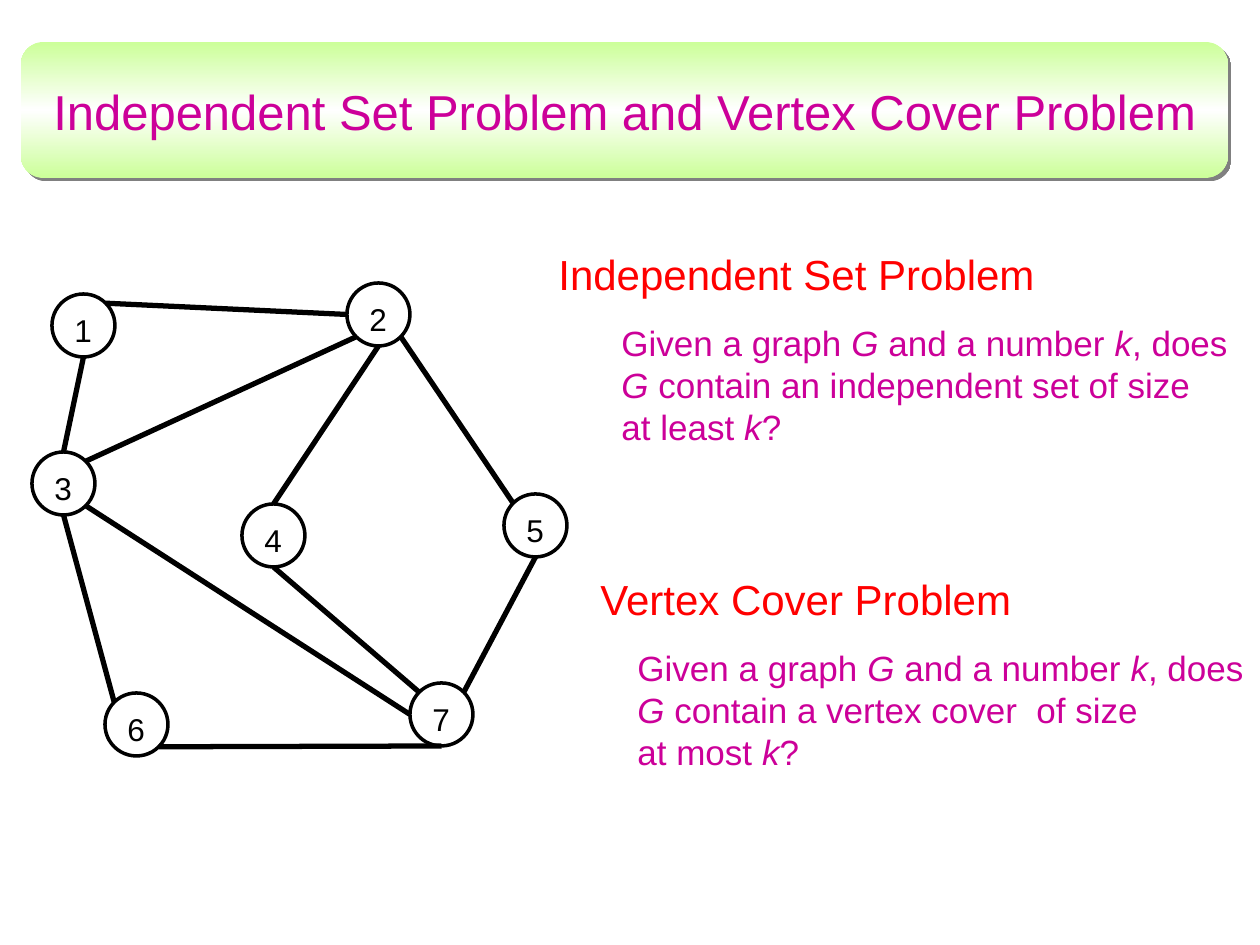
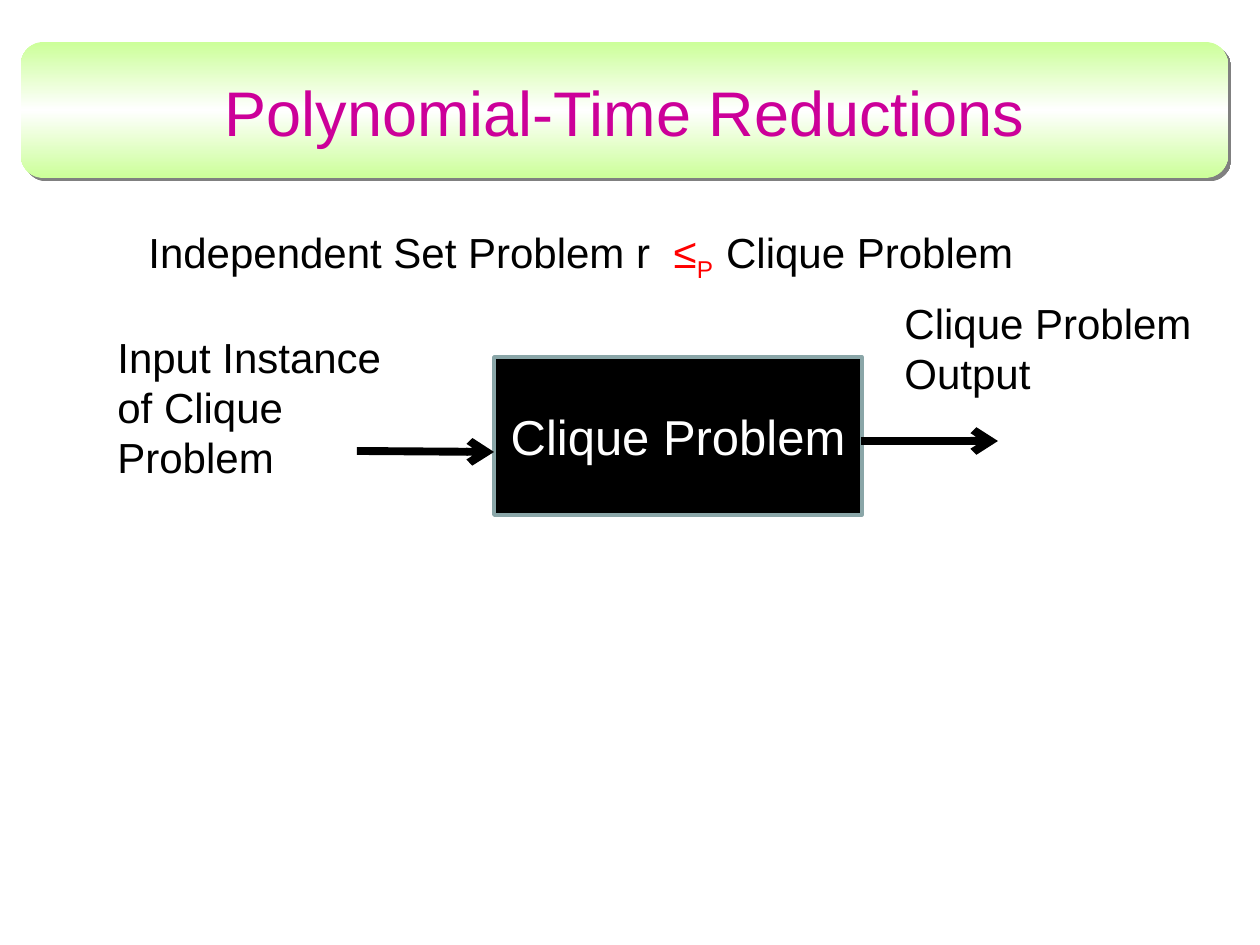
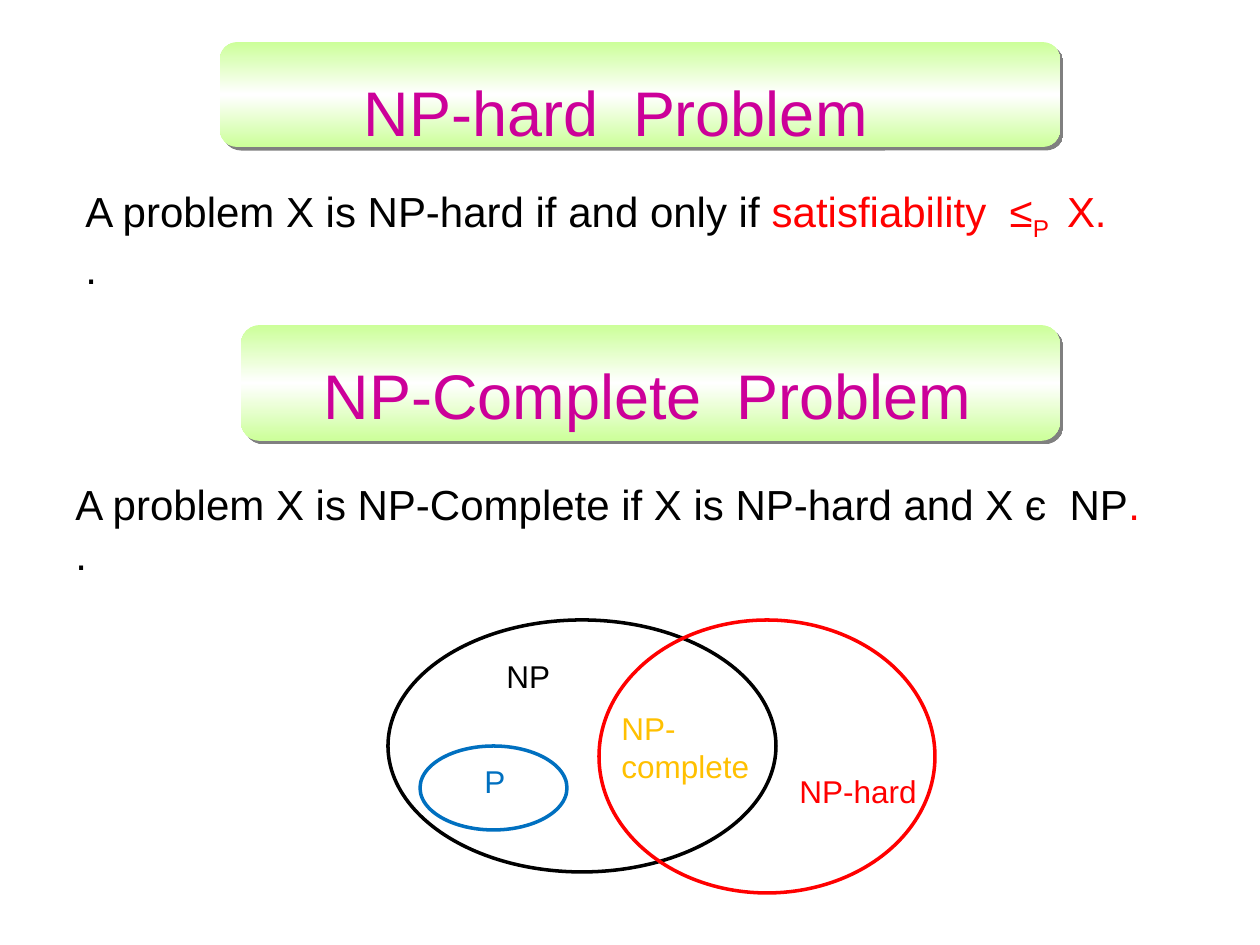
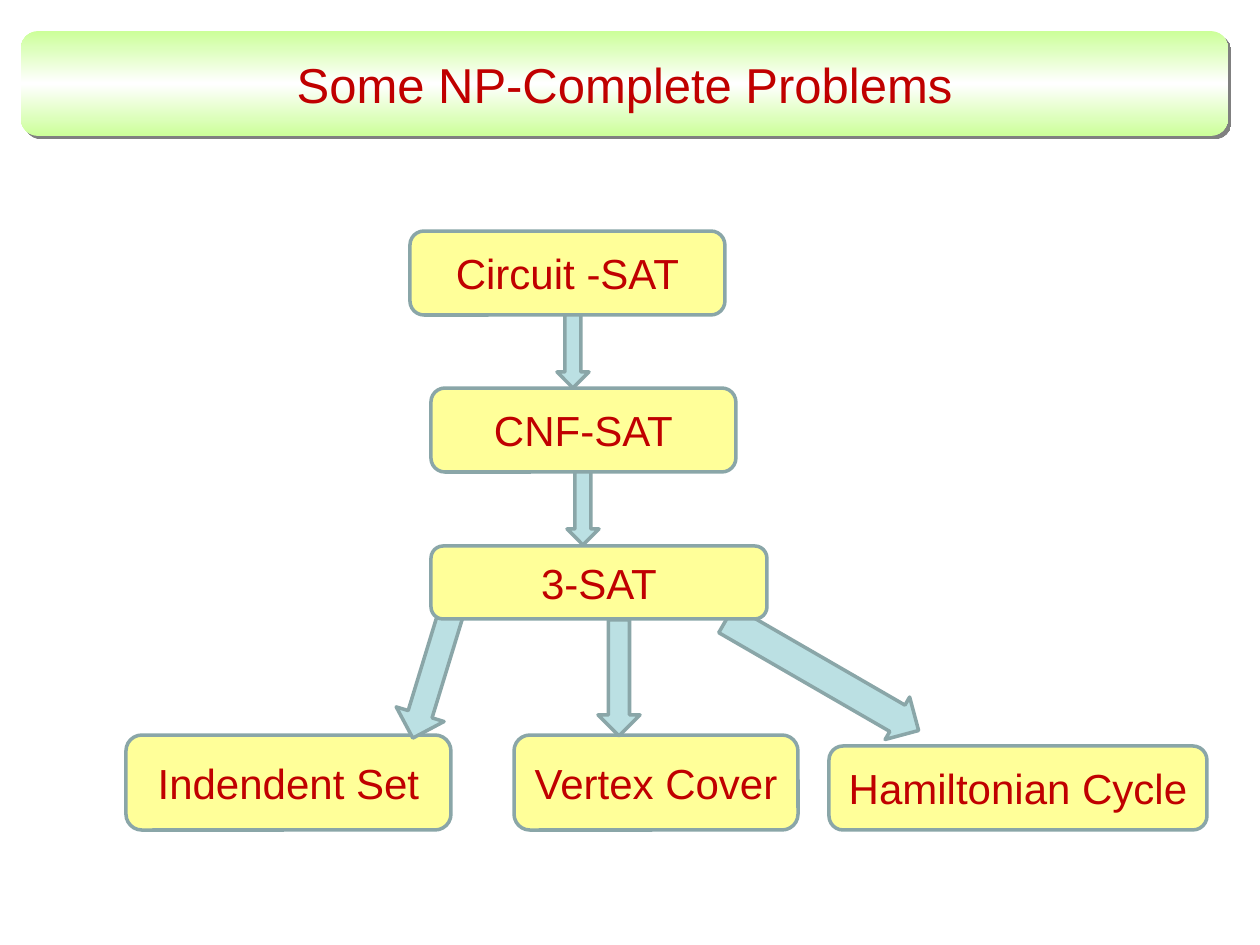
from copy import deepcopy
from dataclasses import dataclass
from math import cos, radians, sin
from typing import NamedTuple

from lxml.etree import SubElement
from pptx import Presentation
from pptx.dml.color import RGBColor
from pptx.enum.shapes import MSO_CONNECTOR, MSO_SHAPE
from pptx.enum.text import MSO_ANCHOR, MSO_AUTO_SIZE, PP_ALIGN
from pptx.oxml.ns import qn
from pptx.util import Emu, Pt


@dataclass(frozen=True)
class Theme:
    font: str = "Arial"
    black: str = "000000"
    white: str = "FFFFFF"
    magenta: str = "CC0099"
    red: str = "FF0000"
    dark_red: str = "C00000"
    blue: str = "0070C0"
    gold: str = "FFC000"
    lime: str = "CCFF99"
    yellow: str = "FFFF99"
    pale_teal: str = "BBE0E3"
    border: str = "8AA6A8"
    shadow: str = "808080"
    title: int = 36
    subtitle: int = 28
    heading: int = 24
    body: int = 20
    label: int = 18
    outline: float = 2
    edge: float = 3
    arrow: float = 4.5


THEME = Theme()
PX_PER_INCH = 126


class Span(NamedTuple):
    text: str
    color: str | None = None
    italic: bool = False
    subscript: bool = False


G, K = Span("G", italic=True), Span("k", italic=True)


def question(kind, bound):
    return [["Given a graph ", G, " and a number ", K, ", does"],
            [G, f" contain {kind} of size"],
            [f"at {bound} ", K, "?"]]


# Places are (left, top, width, height) in px.
WIDE_BAND = (21, 42, 1207, 136)
TITLE_PLACE = (21, 53, 1207, 116)

GRAPH_TITLE = "Independent Set Problem and Vertex Cover Problem"
NODE_SIZE = 63
NODES = {1: (52, 294), 2: (347, 283), 3: (32, 452), 4: (242, 504),
         5: (504, 494), 7: (410, 683), 6: (105, 693)}
# Each edge: node and side it leaves, node and side it reaches.
EDGES = [(1, "NE", 2, "W"), (2, "SE", 5, "NW"), (5, "S", 7, "NE"),
         (4, "S", 7, "NW"), (2, "SW", 3, "NE"), (3, "S", 6, "NW"),
         (3, "SE", 7, "W"), (6, "SE", 7, "S"), (1, "S", 3, "N"), (2, "S", 4, "N")]
SIDE_ANGLES = {side: 45 * step for step, side in
               enumerate(["E", "SE", "S", "SW", "W", "NW", "N", "NE"])}
DEFINITIONS = [
    ("Independent Set Problem", (546, 242, 507, 63),
     question("an independent set", "least"), (609, 315, 635, 140)),
    ("Vertex Cover Problem", (588, 567, 441, 63),
     question("a vertex cover ", "most"), (625, 640, 635, 140)),
]

REDUCTION_TITLE = "Polynomial-Time Reductions"
SOLVER = ("Clique Problem", (494, 357, 368, 158))
FLOW_ARROWS = [((357, 451), (494, 452)), ((861, 441), (998, 441))]
FLOW_LABELS = [("Input Instance of Clique Problem", (105, 325, 305, 165)),
               ("Clique Problem Output", (892, 291, 336, 115))]
REDUCTION = [["Independent Set Problem r ", Span(" ≤", THEME.red),
              Span("P  ", THEME.red, subscript=True), "Clique Problem"]]
REDUCTION_PLACE = (136, 220, 907, 63)

# Each section: title, its place, band, definition, its place.
SECTIONS = [
    ("NP-hard  Problem ", TITLE_PLACE, (220, 42, 840, 105),
     [["A problem X is NP-hard if and only if ",
       Span("satisfiability  ≤", THEME.red),
       Span("P ", THEME.red, subscript=True), Span(" X.", THEME.red)], ["."]],
     (73, 179, 1144, 115)),
    ("NP-Complete  Problem ", (53, 336, 1207, 116), (241, 325, 819, 116),
     [["A problem X is NP-Complete if X is NP-hard and X є  NP",
       Span(".", THEME.red)], ["."]],
     (63, 472, 1144, 115)),
]
# Each set: outline place, fill, label, label place, wrapped, line colour, text colour.
SETS = [((388, 620, 388, 252), None, THEME.black),
        ((420, 746, 147, 84), THEME.white, THEME.blue),
        ((599, 620, 336, 273), None, THEME.red)]
SET_LABELS = [("NP", (494, 651, 69, 50), THEME.black, False),
              ("P", (472, 756, 47, 50), THEME.blue, False),
              ("NP-hard", (787, 766, 144, 50), THEME.red, False),
              ("NP-complete", (609, 703, 168, 89), THEME.gold, True)]

FAMILY_TITLE = "Some NP-Complete Problems"
FAMILY_BAND = (21, 31, 1207, 105)
PROBLEMS = [("Circuit -SAT", (410, 231, 315, 84)),
            ("CNF-SAT", (431, 388, 305, 84)),
            ("Vertex Cover", (514, 735, 284, 95)),
            ("Indendent Set", (126, 735, 325, 95)),
            ("Hamiltonian Cycle", (829, 746, 378, 84))]
HUB = ("3-SAT", (431, 546, 336, 73))
# Each arrow: place before turning, turn in degrees, shaft share of the width.
BLOCK_ARROWS = [((557, 315, 32, 73), 0, 0.5), ((567, 472, 32, 73), 0, 0.5),
                ((407, 610, 50, 131), 17, 0.5), ((598, 620, 42, 116), 0, 0.5),
                ((798, 564, 49, 222), 300, 0.62)]


def emu(px):
    return Emu(round(px * 914400 / PX_PER_INCH))


def rgb(code):
    return RGBColor.from_string(code)


def put_text(shape, lines, size, color, align=PP_ALIGN.LEFT,
             anchor=MSO_ANCHOR.TOP, wrap=True):
    """Fill a shape with lines; each line is a list of strings and Spans."""
    frame = shape.text_frame
    frame.word_wrap = wrap
    frame.vertical_anchor = anchor
    for index, line in enumerate(lines):
        para = frame.add_paragraph() if index else frame.paragraphs[0]
        para.alignment = align
        para.font.name = THEME.font
        para.font.size = Pt(size)
        para.font.color.rgb = rgb(color)
        for part in line:
            span = Span(part) if isinstance(part, str) else part
            run = para.add_run()
            run.text = span.text
            run.font.color.rgb = rgb(span.color or color)
            if span.italic:
                run.font.italic = True
            if span.subscript:
                run.font._element.set("baseline", "-25000")


def add_text(shapes, place, lines, size, color, wrap=False):
    box = shapes.add_textbox(*map(emu, place))
    put_text(box, lines, size, color, wrap=wrap)
    box.text_frame.auto_size = MSO_AUTO_SIZE.SHAPE_TO_FIT_TEXT


def add_figure(shapes, kind, place, fill, line):
    figure = shapes.add_shape(kind, *map(emu, place))
    figure.shadow.inherit = False
    if fill:
        figure.fill.solid()
        figure.fill.fore_color.rgb = rgb(fill)
    else:
        figure.fill.background()
    figure.line.color.rgb = rgb(line)
    figure.line.width = Pt(THEME.outline)
    return figure


def add_band(page, place):
    """Draw the rounded title band: lime fading to white and back, hard shadow."""
    band = page.shapes.add_shape(MSO_SHAPE.ROUNDED_RECTANGLE, *map(emu, place))
    band.line.fill.background()
    band.fill.gradient()
    band.fill.gradient_angle = 90
    first, middle = band.fill.gradient_stops
    first.color.rgb, middle.color.rgb = rgb(THEME.lime), rgb(THEME.white)
    first.position, middle.position = 0, 0.5
    properties = band._element.spPr
    stops = properties.find(".//" + qn("a:gsLst"))
    last = deepcopy(stops[0])
    last.set("pos", "100000")
    stops.append(last)
    band.shadow.inherit = False
    shadow = SubElement(properties.find(qn("a:effectLst")), qn("a:outerShdw"),
                        dist=str(Pt(2.8)), dir="2700000", algn="ctr", rotWithShape="0")
    SubElement(shadow, qn("a:srgbClr"), val=THEME.shadow)
    return band


def add_title(page, text, size, band=WIDE_BAND, place=TITLE_PLACE):
    add_band(page, band)
    box = page.shapes.add_textbox(*map(emu, place))
    put_text(box, [[text]], size, THEME.magenta, PP_ALIGN.CENTER, MSO_ANCHOR.MIDDLE)


def add_line(page, start, end, width, arrow=False):
    line = page.shapes.add_connector(MSO_CONNECTOR.STRAIGHT, *map(emu, start + end))
    line.line.color.rgb = rgb(THEME.black)
    line.line.width = Pt(width)
    if arrow:
        SubElement(line.line._get_or_add_ln(), qn("a:tailEnd"), type="arrow")
    SubElement(line._element.spPr, qn("a:effectLst"))


def add_node(page, number, corner):
    left, top = corner
    group = page.shapes.add_group_shape()
    add_figure(group.shapes, MSO_SHAPE.OVAL, (left, top, NODE_SIZE, NODE_SIZE),
               None, THEME.black)
    add_text(group.shapes, (left + 10, top + 11, 43, 50), [[str(number)]],
             THEME.label, THEME.black)


def node_side(number, side):
    """Return the point on a node's circle in a compass direction."""
    radius, angle = NODE_SIZE / 2, radians(SIDE_ANGLES[side])
    left, top = NODES[number]
    return left + radius * (1 + cos(angle)), top + radius * (1 + sin(angle))


def draw_graph_problems(page):
    add_title(page, GRAPH_TITLE, THEME.subtitle)
    for number, corner in NODES.items():
        add_node(page, number, corner)
    for start, leaving, end, reaching in EDGES:
        add_line(page, node_side(start, leaving), node_side(end, reaching), THEME.edge)
    for heading, heading_place, lines, place in DEFINITIONS:
        add_text(page.shapes, heading_place, [[heading]], THEME.heading, THEME.red)
        add_text(page.shapes, place, lines, THEME.body, THEME.magenta)


def draw_reduction(page):
    add_title(page, REDUCTION_TITLE, THEME.title)
    name, place = SOLVER
    solver = add_figure(page.shapes, MSO_SHAPE.RECTANGLE, place, THEME.black, THEME.border)
    put_text(solver, [[name]], THEME.subtitle, THEME.white,
             PP_ALIGN.CENTER, MSO_ANCHOR.MIDDLE)
    for start, end in FLOW_ARROWS:
        add_line(page, start, end, THEME.arrow, arrow=True)
    for text, place in FLOW_LABELS:
        add_text(page.shapes, place, [[text]], THEME.heading, THEME.black, wrap=True)
    add_text(page.shapes, REDUCTION_PLACE, REDUCTION, THEME.heading, THEME.black)


def draw_classes(page):
    for title, title_place, band, lines, place in SECTIONS:
        add_title(page, title, THEME.title, band, title_place)
        add_text(page.shapes, place, lines, THEME.heading, THEME.black, wrap=True)
    for place, fill, line in SETS:
        add_figure(page.shapes, MSO_SHAPE.OVAL, place, fill, line)
    for text, place, color, wrap in SET_LABELS:
        add_text(page.shapes, place, [[text]], THEME.label, color, wrap)


def add_problem(page, name, place):
    problem = add_figure(page.shapes, MSO_SHAPE.ROUNDED_RECTANGLE, place,
                         THEME.yellow, THEME.border)
    put_text(problem, [[name]], THEME.heading, THEME.dark_red,
             PP_ALIGN.CENTER, MSO_ANCHOR.MIDDLE)


def draw_family(page):
    for name, place in PROBLEMS:
        add_problem(page, name, place)
    for place, turn, shaft in BLOCK_ARROWS:
        arrow = add_figure(page.shapes, MSO_SHAPE.DOWN_ARROW, place,
                           THEME.pale_teal, THEME.border)
        arrow.rotation = turn
        arrow.adjustments[0] = shaft
    put_text(add_band(page, FAMILY_BAND), [[FAMILY_TITLE]], THEME.subtitle,
             THEME.dark_red, PP_ALIGN.CENTER, MSO_ANCHOR.MIDDLE, wrap=False)
    add_problem(page, *HUB)


def main():
    deck = Presentation()
    deck.slide_width, deck.slide_height = emu(1260), emu(945)
    for draw in (draw_graph_problems, draw_reduction, draw_classes, draw_family):
        draw(deck.slides.add_slide(deck.slide_layouts[6]))
    deck.save("out.pptx")


if __name__ == "__main__":
    main()
